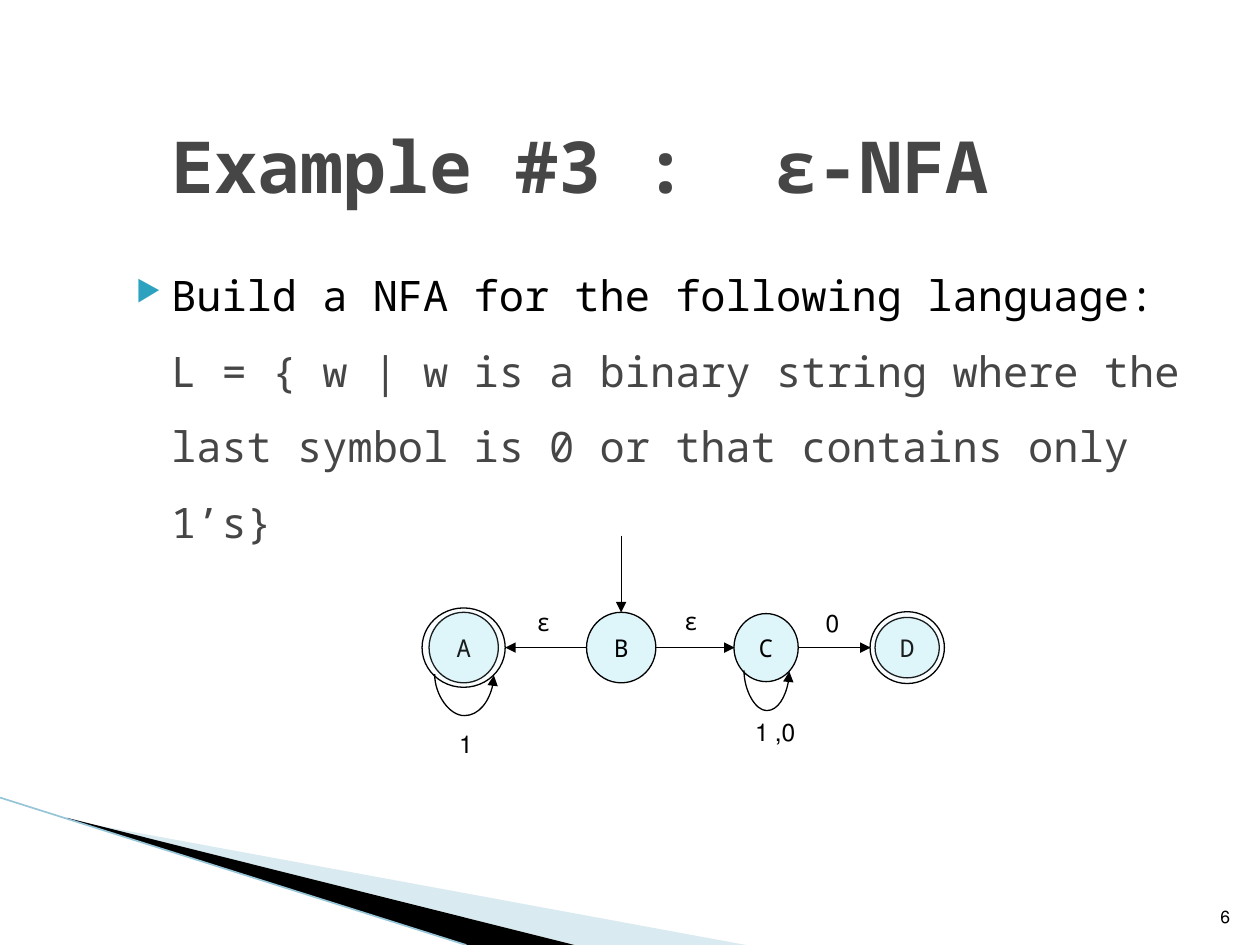
from lxml.etree import SubElement
from pptx import Presentation
from pptx.dml.color import RGBColor
from pptx.enum.shapes import MSO_CONNECTOR as Link, MSO_SHAPE as Shape
from pptx.enum.text import MSO_ANCHOR as Anchor, PP_ALIGN as Align
from pptx.oxml.ns import qn
from pptx.util import Inches, Pt

COLORS = {
    "ink": "000000", "heading": "464646", "bullet": "2DA2BF",
    "state": "DEF5FA", "wedge": "A0CBDC", "edge": "97C5D8",
}
COLUMNS, ROWS = 100, 75
AXIS = 51.4


def color(name):
    return RGBColor.from_string(COLORS[name])


def write(frame, parts, size=14, bold=False, align=Align.LEFT, anchor=Anchor.TOP,
          wrap=True, rtl=False):
    frame.word_wrap = wrap
    frame.vertical_anchor = anchor
    line = frame.paragraphs[0]
    line.alignment = align
    if rtl:
        line._p.get_or_add_pPr().set("rtl", "1")
    for index, (words, tone) in enumerate(parts):
        if index:
            line.add_line_break()
        run = line.add_run()
        run.text = words
        run.font.name = "Noto Sans Mono"
        run.font.size = Pt(size)
        run.font.bold = bold
        run.font.color.rgb = color(tone)
    return line


class Board:
    def __init__(self, deck):
        self.slide = deck.slides.add_slide(deck.slide_layouts[6])
        self.shapes = self.slide.shapes
        self.column = deck.slide_width / COLUMNS
        self.row = deck.slide_height / ROWS

    def place(self, *lengths):
        units = (self.column, self.row)
        return [round(value * units[i % 2]) for i, value in enumerate(lengths)]

    def paint(self, shape, tone, alpha=100):
        shape.shadow.inherit = False
        shape.fill.solid()
        shape.fill.fore_color.rgb = color(tone)
        if alpha < 100:
            fill = shape._element.spPr.find(qn("a:solidFill"))
            SubElement(fill[0], qn("a:alpha"), val=str(alpha * 1000))

    def text(self, box, parts, **style):
        frame = self.shapes.add_textbox(*self.place(*box)).text_frame
        return write(frame, parts, **style)

    def label(self, box, words, size=14, **style):
        self.text(box, [(words, "ink")], size=size, align=Align.RIGHT, rtl=True, **style)

    def wedge(self, points, tone, alpha=100):
        corners = [self.place(*point) for point in points]
        outline = self.shapes.build_freeform(*corners[0])
        outline.add_line_segments(corners[1:], close=True)
        shape = outline.convert_to_shape()
        self.paint(shape, tone, alpha)
        shape.line.fill.background()

    def circle(self, center, width, height, alpha=100):
        box = (center - width / 2, AXIS - height / 2, width, height)
        shape = self.shapes.add_shape(Shape.OVAL, *self.place(*box))
        self.paint(shape, "state", alpha)
        shape.line.color.rgb = color("ink")
        shape.line.width = Pt(0.75)
        return shape

    def state(self, name, center, size, ring=None):
        shape = self.circle(center, *size)
        write(shape.text_frame, [(name, "ink")], align=Align.CENTER,
              anchor=Anchor.MIDDLE, wrap=False, rtl=True)
        if ring:
            self.circle(center, *ring, alpha=12)
        return shape

    def line(self, start, end, tone="ink", width=0.75, arrow=True, kind=Link.STRAIGHT):
        link = self.shapes.add_connector(kind, *self.place(*start, *end))
        link.line.color.rgb = color(tone)
        link.line.width = Pt(width)
        properties = link._element.spPr
        SubElement(properties, qn("a:effectLst"))
        if arrow:
            SubElement(properties.find(qn("a:ln")), qn("a:tailEnd"), type="triangle")
        return link

    def loop(self, center, top, span, depth):
        thickness = 0.1
        link = self.line((center + thickness / 2, top - span / 2),
                         (center - thickness / 2, top + span / 2), kind=Link.CURVE)
        properties = link._element.spPr
        properties.find(qn("a:xfrm")).set("rot", "16200000")
        geometry = properties.find(qn("a:prstGeom"))
        guides = geometry.find(qn("a:avLst"))
        if guides is None:
            guides = SubElement(geometry, qn("a:avLst"))
        bend = round(depth / thickness * 100000)
        SubElement(guides, qn("a:gd"), name="adj1", fmla=f"val {bend}")

    def bullet(self, box, parts, size):
        line = self.text(box, parts, size=size)
        line.line_spacing = 1.5
        line.space_before = Pt(4)
        settings = line._p.get_or_add_pPr()
        settings.set("marL", str(Inches(0.4)))
        settings.set("indent", str(Inches(-0.28)))
        tint = SubElement(settings, qn("a:buClr"))
        SubElement(tint, qn("a:srgbClr"), val=COLORS["bullet"])
        SubElement(settings, qn("a:buSzPct"), val="68000")
        SubElement(settings, qn("a:buChar"), char="▶")


def main():
    deck = Presentation()
    deck.slide_width, deck.slide_height = Inches(10), Inches(7.5)
    board = Board(deck)

    board.wedge([(5.5, 65.1), (59.2, 75), (45.6, 75), (5.5, 65)], "wedge", alpha=40)
    board.wedge([(5.3, 64.9), (45.6, 75), (37.1, 75), (5.4, 65)], "ink")
    board.line((0, 63.3), (37, 75), tone="edge", width=0.95, arrow=False)

    board.label((94.6, 70.1, 4, 4), "6", size=10, anchor=Anchor.BOTTOM)
    board.text((12.6, 6.8, 85.2, 12.5), [("Example #3 :  ε-NFA", "heading")],
               size=41, bold=True, anchor=Anchor.MIDDLE)
    board.bullet((8.6, 18.9, 90, 49.5), [
        ("Build a NFA for the following language:", "ink"),
        ("L = { w | w is a binary string where the last symbol is 0 "
         "or that contains only 1’s}", "heading"),
    ], size=24)

    board.state("A", 36.8, (5.5, 5.6), ring=(6.6, 6.3))
    start = board.state("B", 49.3, (5.5, 5.6))
    board.state("C", 60.8, (5.1, 5.4))
    board.state("D", 72, (5.1, 4.8), ring=(5.9, 5.7))

    entry = board.line((49.3, 42.5), (49.3, 48.6))
    entry.end_connect(start, 0)
    for departure, arrival in [(46.6, 40.1), (52.1, 58.3), (63.3, 69.1)]:
        board.line((departure, AXIS), (arrival, AXIS))
    board.loop(36.85, 53.55, span=4.7, depth=3.35)
    board.loop(60.85, 53.25, span=3.6, depth=3.25)

    for box, symbol in [
        ((41.3, 47.7, 3.4, 3.4), "ε"),
        ((53.2, 47.6, 3.2, 3.4), "ε"),
        ((64.3, 47.8, 3.3, 3.4), "0"),
        ((35.1, 57.4, 3.4, 3.4), "1"),
        ((57.6, 56.4, 6.5, 3.4), "0, 1"),
    ]:
        board.label(box, symbol)

    deck.save("out.pptx")


if __name__ == "__main__":
    main()
